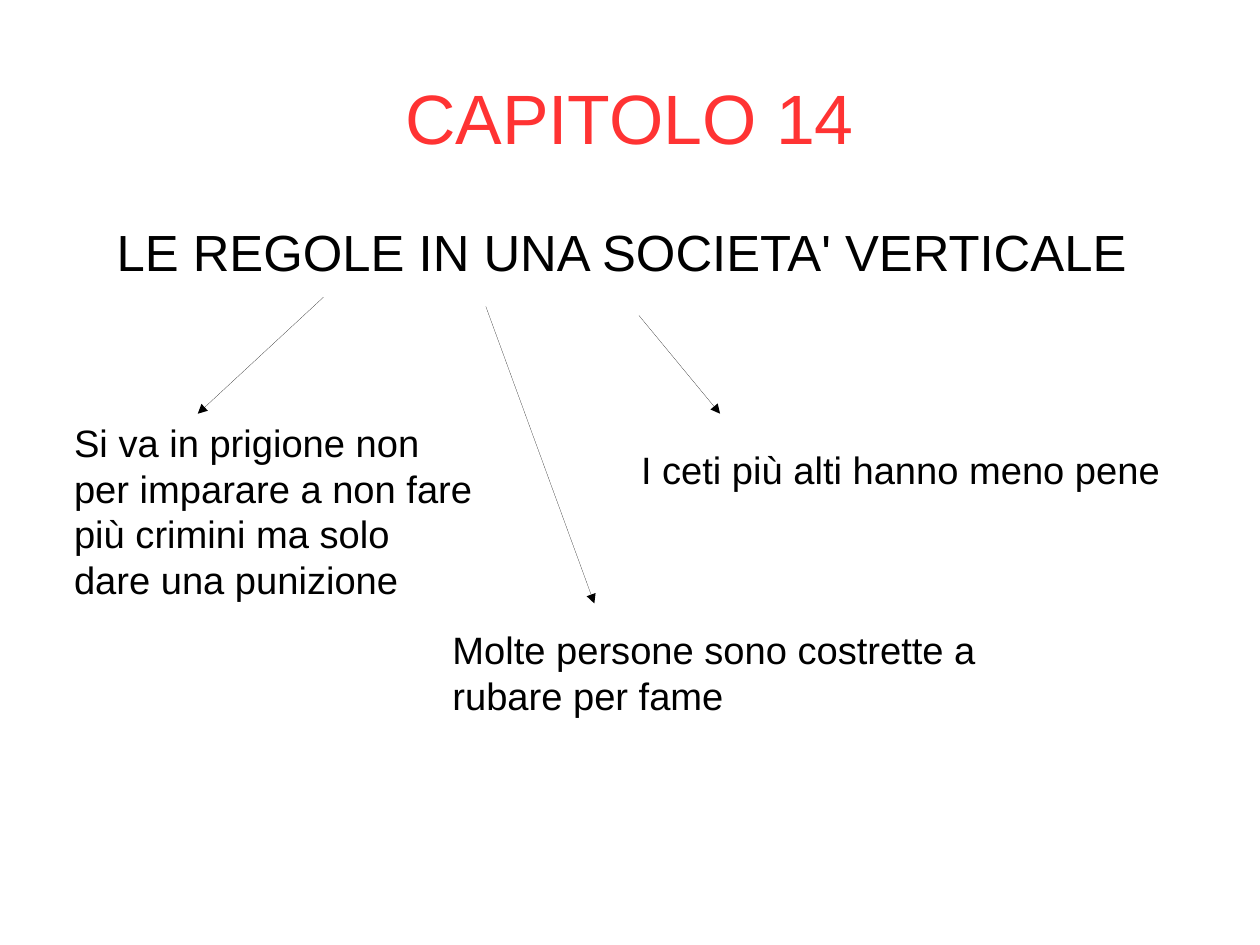
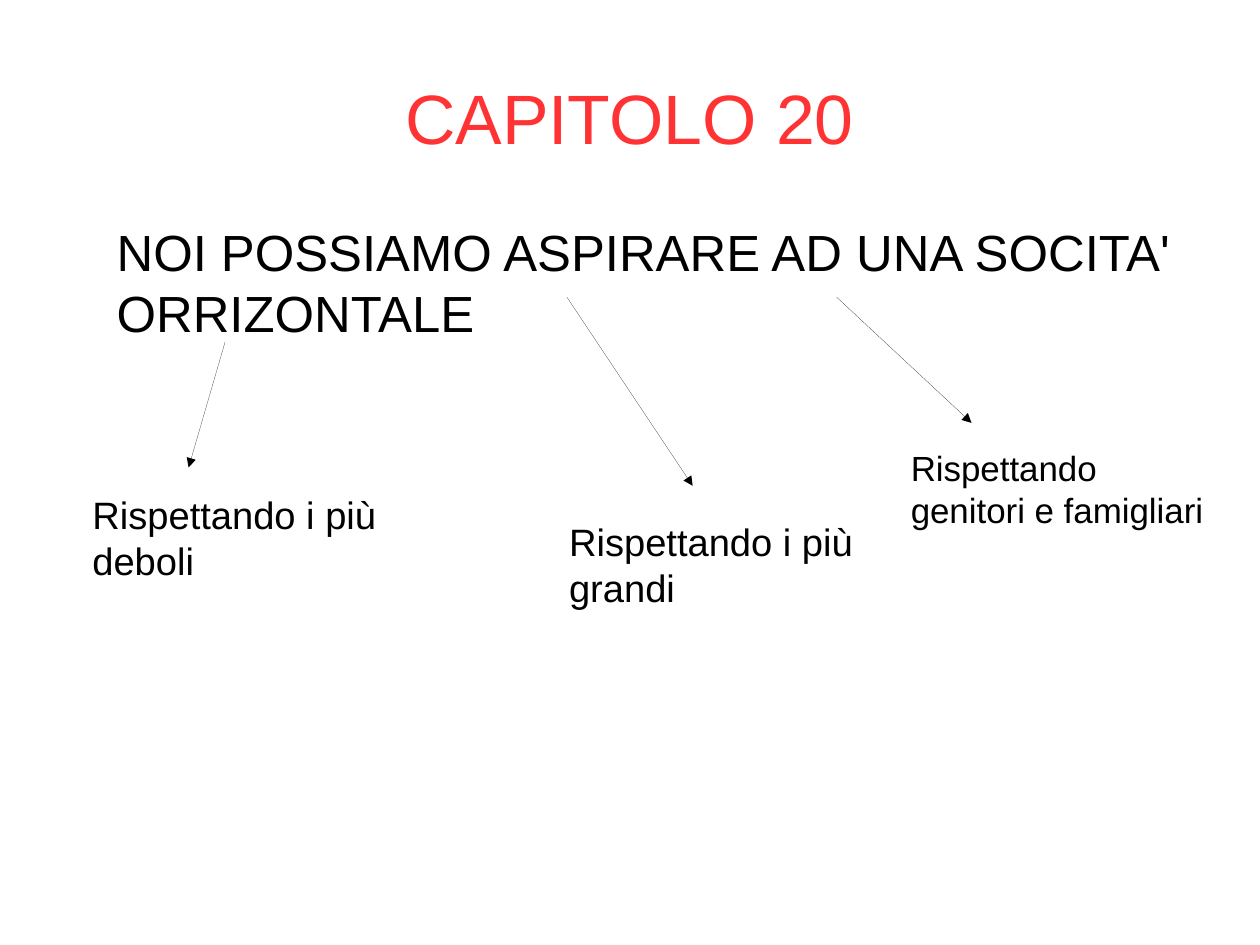
from dataclasses import dataclass

from lxml.etree import SubElement
from pptx import Presentation
from pptx.dml.color import RGBColor
from pptx.enum.shapes import MSO_CONNECTOR as Connector
from pptx.enum.text import MSO_ANCHOR as Anchor, PP_ALIGN as Align
from pptx.oxml.ns import qn
from pptx.util import Inches, Pt


@dataclass(frozen=True)
class Theme:
    """Colours, font and type sizes shared by the slides."""
    font: str = "Arial"
    red: str = "FF3333"
    black: str = "000000"
    title_size: int = 44
    topic_size: int = 32
    note_size: int = 24
    small_note_size: int = 22
    line_width: int = 0


@dataclass(frozen=True)
class Box:
    """A rectangle in inches."""
    left: float
    top: float
    width: float
    height: float

    def point(self, across, down):
        """Return a point measured from the top left corner."""
        return Inches(self.left + across), Inches(self.top + down)

    def inner(self, across, down, width, height):
        """Return a box measured from the top left corner."""
        return Box(self.left + across, self.top + down, width, height)


@dataclass(frozen=True)
class Branch:
    """An arrow and its note, measured from the map's corner."""
    start: tuple
    end: tuple
    note: tuple
    text: str
    size: int = Theme.note_size


THEME = Theme()
CM_PER_INCH = 2.54
SLIDE_WIDTH = Inches(28 / CM_PER_INCH)
SLIDE_HEIGHT = Inches(21 / CM_PER_INCH)
TITLE_BOX = Box(0.55, 0.33, 9.92, 1.38)
MAP_BOX = Box(0.55, 1.93, 9.92, 4.79)
TOPIC_MARGINS = (0.47, 0, 0, 0)
NOTE_MARGINS = (0.1, 0.05, 0.1, 0.05)

CHAPTERS = [
    ("CAPITOLO 14", "LE REGOLE IN UNA SOCIETA' VERTICALE", [
        Branch((2.28, 0.67), (1.18, 1.69), (0, 1.69, 3.7, 1.59),
               "Si va in prigione non per imparare a non fare più crimini "
               "ma solo dare una punizione"),
        Branch((5.04, 0.83), (5.75, 1.69), (4.96, 1.93, 4.88, 0.47),
               "I ceti più alti hanno meno pene"),
        Branch((3.7, 0.75), (4.65, 3.35), (3.31, 3.5, 5.12, 0.84),
               "Molte persone sono costrette a rubare per fame"),
    ]),
    ("CAPITOLO 20", "NOI POSSIAMO ASPIRARE AD UNA SOCITA' ORRIZONTALE", [
        Branch((1.42, 1.06), (1.1, 2.16), (0.16, 2.32, 3.15, 0.84),
               "Rispettando i più deboli"),
        Branch((4.41, 0.67), (5.51, 2.32), (4.33, 2.56, 3.39, 0.84),
               "Rispettando i più grandi"),
        Branch((6.77, 0.67), (7.95, 1.77), (7.32, 1.93, 2.83, 0.78),
               "Rispettando genitori e famigliari", THEME.small_note_size),
    ]),
]


def set_attributes(target, values):
    """Set each named attribute of the target."""
    for name, value in values.items():
        setattr(target, name, value)


def add_text(slide, box, text, size, margins=(0, 0, 0, 0), color=THEME.black,
             align=Align.LEFT, anchor=Anchor.TOP):
    """Add one wrapped paragraph in the box."""
    shape = slide.shapes.add_textbox(*box.point(0, 0), Inches(box.width), Inches(box.height))
    left, top, right, bottom = map(Inches, margins)
    frame = shape.text_frame
    set_attributes(frame, {
        "word_wrap": True, "vertical_anchor": anchor,
        "margin_left": left, "margin_top": top,
        "margin_right": right, "margin_bottom": bottom,
    })
    paragraph = frame.paragraphs[0]
    paragraph.alignment = align
    run = paragraph.add_run()
    run.text = text
    set_attributes(run.font, {"name": THEME.font, "size": Pt(size)})
    run.font.color.rgb = RGBColor.from_string(color)


def add_arrow(slide, start, end):
    """Add a hairline connector with a triangle at its end."""
    connector = slide.shapes.add_connector(Connector.STRAIGHT, *start, *end)
    connector.line.color.rgb = RGBColor.from_string(THEME.black)
    properties = connector._element.spPr
    outline = properties.find(qn("a:ln"))
    outline.set("w", str(Pt(THEME.line_width)))
    SubElement(outline, qn("a:tailEnd"), type="triangle")
    SubElement(properties, qn("a:effectLst"))


def add_title(slide, box, text):
    """Add the centred chapter title."""
    add_text(slide, box, text, THEME.title_size, color=THEME.red,
             align=Align.CENTER, anchor=Anchor.MIDDLE)


def add_concept_map(slide, box, topic, branches):
    """Add the topic with its arrows and notes."""
    add_text(slide, box, topic, THEME.topic_size, TOPIC_MARGINS)
    for branch in branches:
        add_arrow(slide, box.point(*branch.start), box.point(*branch.end))
        add_text(slide, box.inner(*branch.note), branch.text, branch.size, NOTE_MARGINS)


def add_chapter(presentation, title, topic, branches):
    """Add one chapter slide."""
    slide = presentation.slides.add_slide(presentation.slide_layouts[6])
    add_title(slide, TITLE_BOX, title)
    add_concept_map(slide, MAP_BOX, topic, branches)


def main():
    """Build and save the presentation."""
    presentation = Presentation()
    presentation.slide_width = SLIDE_WIDTH
    presentation.slide_height = SLIDE_HEIGHT
    for chapter in CHAPTERS:
        add_chapter(presentation, *chapter)
    presentation.save("out.pptx")


if __name__ == "__main__":
    main()
